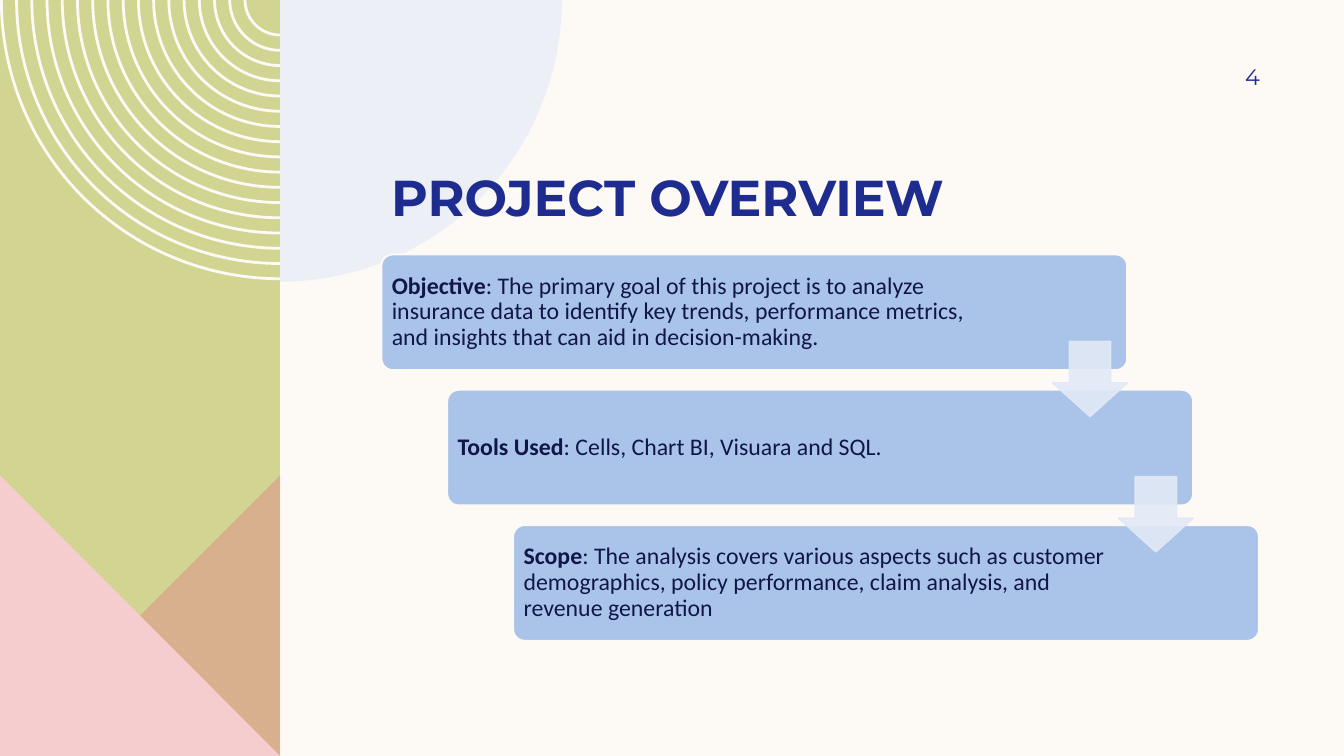
from dataclasses import dataclass

from lxml import etree
from pptx import Presentation
from pptx.dml.color import RGBColor
from pptx.enum.shapes import MSO_SHAPE
from pptx.enum.text import MSO_ANCHOR, PP_ALIGN
from pptx.oxml.ns import qn
from pptx.util import Cm, Pt

ROUNDED = MSO_SHAPE.ROUNDED_RECTANGLE
DOWN_ARROW = MSO_SHAPE.DOWN_ARROW
MIDDLE, BOTTOM = MSO_ANCHOR.MIDDLE, MSO_ANCHOR.BOTTOM
LEFT, RIGHT = PP_ALIGN.LEFT, PP_ALIGN.RIGHT
DEGREE = 60000


@dataclass(frozen=True)
class Theme:
    cream: str = "FDFAF6"
    green: str = "D2D592"
    rose: str = "DE8C8C"
    pink: str = "F5CDCE"
    mist: str = "DDE7F6"
    navy: str = "1F2C8F"
    ink: str = "101648"
    card: str = "AAC3E8"
    arrow: str = "E2E9F6"
    heading_font: str = "Montserrat"
    body_font: str = "Calibri"
    title_size: int = 36
    number_size: int = 16
    body_size: int = 17


THEME = Theme()

# Slide geometry in centimetres
SLIDE_W, SLIDE_H = 33.87, 19.05
PANEL_W = 7.06
TRIANGLE_TOP = 11.98
DISC_RADIUS = 7.1
RING_COUNT, RING_INNER, RING_WIDTH = 17, 0.92, 0.07
CARD_X, CARD_Y, CARD_W, CARD_H = 9.61, 6.41, 18.8, 2.92
STEP_X, STEP_Y = 1.66, 3.41
ARROW_X, ARROW_Y, ARROW_SIZE = 26.52, 8.6, 1.9

CARDS = [
    ("Objective", ": The primary goal of this project is to analyze insurance data to "
                  "identify key trends, performance metrics, and insights that can aid "
                  "in decision-making."),
    ("Tools Used", ": Cells, Chart BI, Visuara and SQL."),
    ("Scope", ": The analysis covers various aspects such as customer demographics, "
              "policy performance, claim analysis, and revenue generation"),
]


def paint(fill, color, opacity=100):
    fill.solid()
    fill.fore_color.rgb = RGBColor.from_string(color)
    if opacity < 100:
        clr = fill._xPr.find(qn("a:solidFill"))[0]
        etree.SubElement(clr, qn("a:alpha"), val=str(opacity * 1000))


def bend(line, radius, start, sweep):
    """Turn a straight path segment into a circular arc."""
    arc = etree.Element(qn("a:arcTo"), wR=str(Cm(radius)), hR=str(Cm(radius)),
                        stAng=str(start * DEGREE), swAng=str(sweep * DEGREE))
    line.getparent().replace(line, arc)


def add_outline(slide, contours, color, opacity=100):
    """Filled shape; a point is (x, y), plus (radius, start, sweep) if reached by an arc."""
    builder = None
    for points in contours:
        corners = [(Cm(p[0]), Cm(p[1])) for p in points]
        if builder is None:
            builder = slide.shapes.build_freeform(*corners[0])
        else:
            builder.move_to(*corners[0])
        builder.add_line_segments(corners[1:], close=True)
    sp = builder.convert_to_shape()
    segments = [p for points in contours for p in points[1:]]
    for line, point in zip(list(sp._element.iter(qn("a:lnTo"))), segments):
        if len(point) > 2:
            bend(line, *point[2])
    sp.shadow.inherit = False
    paint(sp.fill, color, opacity)
    sp.line.fill.background()


def ring(outer):
    inner = outer - RING_WIDTH
    return [(PANEL_W - outer, 0), (PANEL_W, outer, (outer, 180, -90)),
            (PANEL_W, inner), (PANEL_W - inner, 0, (inner, 90, 90))]


def add_preset(slide, kind, box, adjustments, color, line_color, line_width, opacity=100):
    sp = slide.shapes.add_shape(kind, *map(Cm, box))
    sp.shadow.inherit = False
    for i, value in enumerate(adjustments):
        sp.adjustments[i] = value
    paint(sp.fill, color, opacity)
    paint(sp.line.fill, line_color, opacity)
    sp.line.width = Pt(line_width)
    return sp


def set_frame(tf, anchor, left, top, right, bottom):
    tf.word_wrap = True
    tf.vertical_anchor = anchor
    tf.margin_left, tf.margin_top = Cm(left), Cm(top)
    tf.margin_right, tf.margin_bottom = Cm(right), Cm(bottom)


def style(p, font, size, color, align=LEFT):
    p.alignment = align
    p.font.name = font
    p.font.size = Pt(size)
    p.font.color.rgb = RGBColor.from_string(color)


def add_heading(slide, text, box, size, anchor, insets, align=LEFT, bold=False):
    tf = slide.shapes.add_textbox(*map(Cm, box)).text_frame
    set_frame(tf, anchor, *insets)
    p = tf.paragraphs[0]
    p.text = text
    style(p, THEME.heading_font, size, THEME.navy, align)
    p.font.bold = bold


def add_card(slide, index, label, text):
    box = (CARD_X + index * STEP_X, CARD_Y + index * STEP_Y, CARD_W, CARD_H)
    sp = add_preset(slide, ROUNDED, box, [0.1], THEME.card, THEME.cream, 1.5)
    tf = sp.text_frame
    set_frame(tf, MIDDLE, 0.18, 0.18, 3.6, 0.18)
    p = tf.paragraphs[0]
    style(p, THEME.body_font, THEME.body_size, THEME.ink)
    p.line_spacing = 0.9
    for content, bold in ((label, True), (text, False)):
        r = p.add_run()
        r.text = content
        r.font.bold = bold


def add_decoration(slide):
    top_left, top_right = (0, TRIANGLE_TOP), (PANEL_W, TRIANGLE_TOP)
    bottom_left, bottom_right = (0, SLIDE_H), (PANEL_W, SLIDE_H)
    panel = [(0, 0), (PANEL_W, 0), bottom_right, bottom_left]
    add_outline(slide, [panel], THEME.green)

    gap = (PANEL_W - RING_INNER) / (RING_COUNT - 1)
    rings = [ring(RING_INNER + i * gap) for i in range(RING_COUNT)]
    add_outline(slide, rings, THEME.cream)

    add_outline(slide, [[top_right, bottom_right, bottom_left]], THEME.rose, 50)
    add_outline(slide, [[top_left, bottom_right, bottom_left]], THEME.pink)
    disc = [(PANEL_W, 0), (PANEL_W + DISC_RADIUS, 0),
            (PANEL_W, DISC_RADIUS, (DISC_RADIUS, 0, 90))]
    add_outline(slide, [disc], THEME.mist, 50)


def main():
    prs = Presentation()
    prs.slide_width, prs.slide_height = Cm(SLIDE_W), Cm(SLIDE_H)
    slide = prs.slides.add_slide(prs.slide_layouts[6])
    paint(slide.background.fill, THEME.cream)

    # Side panel and quarter disc
    add_decoration(slide)

    # Title and slide number
    add_heading(slide, "PROJECT OVERVIEW", (9.61, 2.95, 22.12, 2.77), THEME.title_size,
                BOTTOM, (0.25, 0, 0.25, 0), bold=True)
    add_heading(slide, "4", (28.78, 1.27, 2.97, 1.32), THEME.number_size,
                MIDDLE, (0.25, 0.13, 0, 0.13), RIGHT)

    # Staggered cards, then the arrows between them
    for i, (label, text) in enumerate(CARDS):
        add_card(slide, i, label, text)
    for i in range(len(CARDS) - 1):
        box = (ARROW_X + i * STEP_X, ARROW_Y + i * STEP_Y, ARROW_SIZE, ARROW_SIZE)
        add_preset(slide, DOWN_ARROW, box, [0.55, 0.45], THEME.arrow, THEME.arrow, 1, 90)

    prs.save("out.pptx")


if __name__ == "__main__":
    main()
